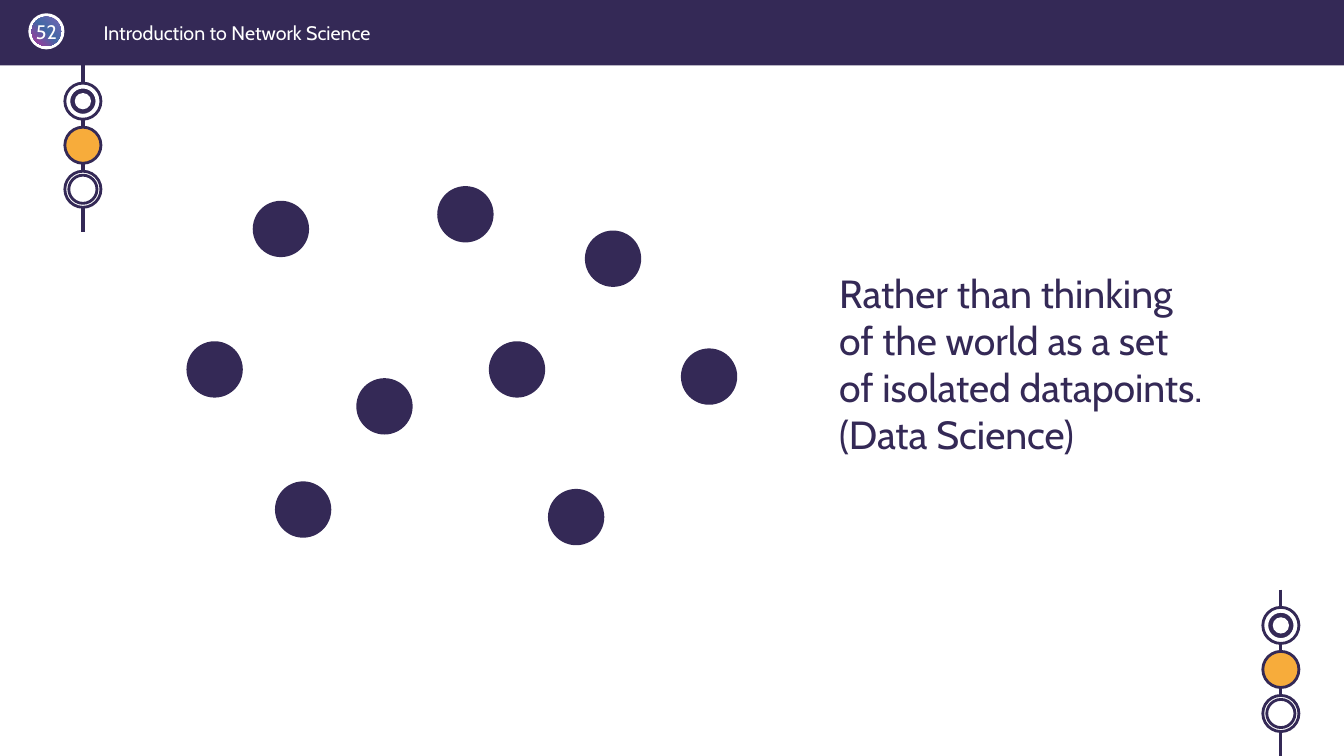
from copy import deepcopy
from dataclasses import dataclass
from lxml.etree import SubElement
from pptx import Presentation
from pptx.dml.color import RGBColor as Rgb
from pptx.enum.shapes import MSO_CONNECTOR as Link, MSO_SHAPE as Kind
from pptx.enum.text import PP_ALIGN as Align
from pptx.oxml.ns import qn
from pptx.util import Cm, Pt


@dataclass(frozen=True)
class Theme:
    font: str = "Cabin"
    ink: str = "342956"
    paper: str = "FFFFFF"
    gold: str = "F7AC3B"
    blend: tuple = ((0, "7864B5"), (0.49, "4269A5"), (1, "B2329A"))
    small: int = 14
    large: int = 28
    ring: float = 2
    stem: float = 2.25


def apply(item, style):
    for name, value in style.items():
        setattr(item, name, value)


class Painter:
    """Draws styled elements on the current slide."""

    def __init__(self, slide, theme):
        self.slide, self.theme = slide, theme

    def shape(self, kind, box, fill, edge=None):
        item = self.slide.shapes.add_shape(kind, *map(Cm, box))
        item.shadow.inherit = False
        item.fill.solid()
        item.fill.fore_color.rgb = Rgb.from_string(fill)
        if edge:
            item.line.color.rgb = Rgb.from_string(edge)
            item.line.width = Pt(self.theme.ring)
        else:
            item.line.fill.background()
        return item

    def disc(self, x, y, size, fill, edge=None):
        box = x - size / 2, y - size / 2, size, size
        return self.shape(Kind.OVAL, box, fill, edge)

    def stem(self, x, top, end):
        line = self.slide.shapes.add_connector(Link.STRAIGHT, *map(Cm, (x, top, x, end)))
        line.line.color.rgb = Rgb.from_string(self.theme.ink)
        line.line.width = Pt(self.theme.stem)
        SubElement(line._element.spPr, qn("a:effectLst"))

    def blend(self, item):
        item.fill.gradient()
        item.fill.gradient_angle = 225
        first = item._element.spPr.find(".//" + qn("a:gs"))
        first.addnext(deepcopy(first))
        for stop, (place, color) in zip(item.fill.gradient_stops, self.theme.blend):
            stop.color.rgb = Rgb.from_string(color)
            stop.position = place

    def text(self, box, lines, size, color, align=Align.LEFT, inset=None):
        frame = self.slide.shapes.add_textbox(*map(Cm, box)).text_frame
        style = {"word_wrap": True}
        if inset is not None:
            sides = "left", "top", "right", "bottom"
            style |= {f"margin_{side}": Cm(inset) for side in sides}
        apply(frame, style)
        frame.text = "\n".join(lines)
        for para in frame.paragraphs:
            para.alignment = align
            for run in para.runs:
                apply(run.font, {"name": self.theme.font, "size": Pt(size)})
                run.font.color.rgb = Rgb.from_string(color)

    def badge(self, x, y, label):
        self.disc(x, y, 0.91, self.theme.paper)
        self.blend(self.disc(x, y, 0.74, self.theme.paper))
        box = x - 0.45, y - 0.3, 0.9, 0.6
        self.text(box, [label], self.theme.small, self.theme.paper, Align.CENTER, 0)

    def chain(self, x, top):
        ink, paper, gold = self.theme.ink, self.theme.paper, self.theme.gold
        self.stem(x, top, top + 4.19)
        rings = (
            (0, 0.91, paper, ink),
            (0, 0.71, ink, paper),
            (0, 0.41, paper, None),
            (1, 0.91, gold, ink),
            (2, 0.91, paper, ink),
            (2, 0.71, paper, ink),
        )
        for step, size, fill, edge in rings:
            self.disc(x, top + 0.9 + 1.11 * step, size, fill, edge)


def main():
    deck = Presentation()
    apply(deck, {"slide_width": Cm(33.87), "slide_height": Cm(19.05)})
    theme = Theme()
    art = Painter(deck.slides.add_slide(deck.slide_layouts[6]), theme)

    art.shape(Kind.RECTANGLE, (0, 0, 33.87, 1.65), theme.ink)
    art.badge(1.17, 0.79, "52")
    title = ["Introduction to Network Science"]
    art.text((2.36, 0.41, 14.25, 0.76), title, theme.small, theme.paper)
    for x, top in ((2.09, 1.65), (32.28, 14.86)):
        art.chain(x, top)

    dots = (
        (7.08, 5.77), (11.73, 5.4), (15.45, 6.52),
        (5.41, 9.31), (9.69, 10.24), (13.03, 9.31), (17.87, 9.49),
        (7.64, 12.84), (14.52, 13.03),
    )
    for x, y in dots:
        art.disc(x, y, 1.42, theme.ink)

    words = [
        "Rather than thinking of the world as a set of isolated datapoints.",
        "(Data Science)",
    ]
    art.text((20.9, 6.65, 9.78, 5.05), words, theme.large, theme.ink)
    deck.save("out.pptx")


if __name__ == "__main__":
    main()
